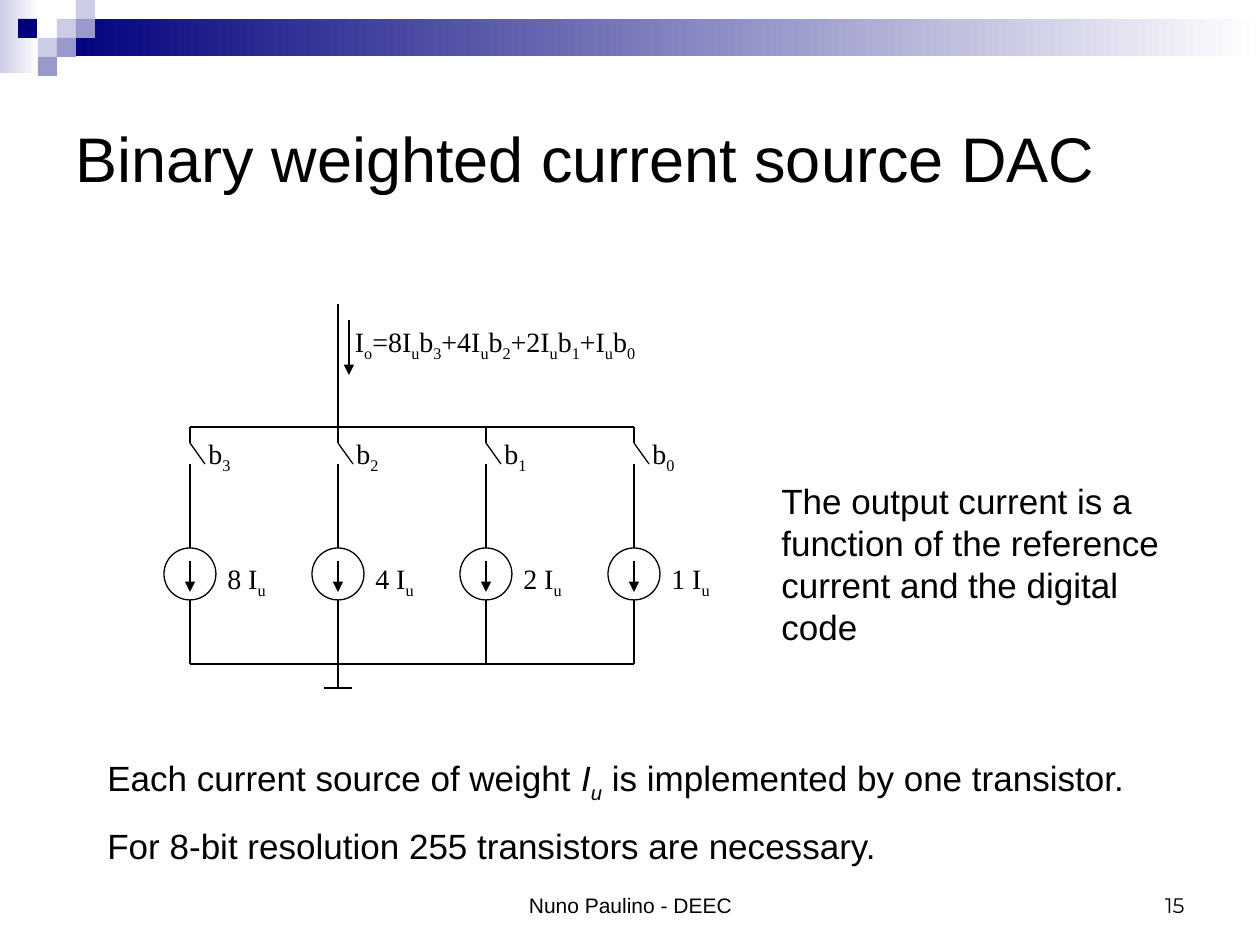
from lxml.etree import SubElement
from pptx import Presentation
from pptx.dml.color import RGBColor
from pptx.enum.shapes import MSO_CONNECTOR, MSO_SHAPE
from pptx.enum.text import MSO_ANCHOR as ANCHOR, PP_ALIGN as ALIGN
from pptx.oxml.ns import qn
from pptx.util import Pt

EMU_PER_PX = 914400 / 126
BLACK, WHITE, NAVY, LILAC, VIOLET = "000000", "FFFFFF", "00007D", "CCCCE6", "9999CC"
SANS, SERIF = "Arial", "Times New Roman"

# An underscore makes the next character a subscript.
TITLE = "Binary weighted current source DAC"
OUTPUT_CURRENT = "I_o=8I_ub_3+4I_ub_2+2I_ub_1+I_ub_0"
BRANCHES = [("b_3", "8 I_u"), ("b_2", "4 I_u"), ("b_1", "2 I_u"), ("b_0", "1 I_u")]
REMARK = "The output current is a function of the reference current and the digital code"
NOTES = [
    [("Each current source of weight ", False), ("I_u", True),
     (" is implemented by one transistor.", False)],
    [("For 8-bit resolution 255 transistors are necessary.", False)],
]
FOOTER, PAGE_NUMBER = "Nuno Paulino - DEEC", "15"

GRADIENT_BARS = [((0, 0, 39, 73), LILAC), ((57, 19, 1203, 37), NAVY)]
SQUARE = 19
SQUARES = [(57, 19, LILAC), (76, 0, LILAC), (76, 19, VIOLET), (38, 38, LILAC),
           (18, 19, NAVY), (57, 38, VIOLET), (38, 57, VIOLET)]

FIRST_X, PITCH, RADIUS = 190, 148, 26
SUPPLY_Y, BUS_Y, PIVOT_Y, CONTACT_Y = 304, 427, 443, 464
SOURCE_Y, RETURN_Y, GROUND_Y = 574, 664, 688


def px(value):
    return round(value * EMU_PER_PX)


def color(hex_string):
    return RGBColor.from_string(hex_string)


def add_block(slide, kind, box, fill, outline=None, fade_to=None):
    shape = slide.shapes.add_shape(kind, *map(px, box))
    shape.shadow.inherit = False
    if fade_to:
        shape.fill.gradient()
        shape.fill.gradient_angle = 0
        for stop, stop_color in zip(shape.fill.gradient_stops, (fill, fade_to)):
            stop.color.rgb = color(stop_color)
    else:
        shape.fill.solid()
        shape.fill.fore_color.rgb = color(fill)
    if outline:
        shape.line.color.rgb = color(outline)
        shape.line.width = Pt(0.75)
    else:
        shape.line.fill.background()


def add_wire(slide, x1, y1, x2, y2, arrow=False):
    wire = slide.shapes.add_connector(MSO_CONNECTOR.STRAIGHT, *map(px, (x1, y1, x2, y2)))
    wire.line.color.rgb = color(BLACK)
    wire.line.width = Pt(0.75)
    if arrow:
        SubElement(wire.line._get_or_add_ln(), qn("a:tailEnd"), type="triangle")
    SubElement(wire._element.spPr, qn("a:effectLst"))


def add_runs(paragraph, marked_text, italic=False):
    """Add text, lowering each character that follows an underscore."""
    first, *others = marked_text.split("_")
    pieces = [(first, False)]
    for other in others:
        pieces += [(other[0], True), (other[1:], False)]
    for text, lowered in pieces:
        if text:
            run = paragraph.add_run()
            run.text = text
            if italic:
                run.font.italic = True
            if lowered:
                run._r.get_or_add_rPr().set("baseline", "-25000")


def style(paragraph, font, size, align):
    paragraph.alignment = align
    paragraph.font.name = font
    paragraph.font.size = Pt(size)
    paragraph.font.color.rgb = color(BLACK)


def add_text(slide, box, paragraphs, font, size, align=ALIGN.LEFT, anchor=ANCHOR.TOP, wrap=True):
    frame = slide.shapes.add_textbox(*map(px, box)).text_frame
    frame.word_wrap = wrap
    frame.vertical_anchor = anchor
    for index, runs in enumerate(paragraphs):
        paragraph = frame.add_paragraph() if index else frame.paragraphs[0]
        style(paragraph, font, size, align)
        if index:
            paragraph.space_before = Pt(12)
        for text, italic in runs:
            add_runs(paragraph, text, italic)


def add_label(slide, box, text):
    add_text(slide, box, [[(text, False)]], SERIF, 16, ALIGN.CENTER, ANCHOR.MIDDLE, wrap=False)


def add_branch(slide, x, bit, weight):
    """Draw a switch above a current source, with their labels."""
    add_wire(slide, x, BUS_Y, x, PIVOT_Y)
    add_wire(slide, x, PIVOT_Y, x + 15, CONTACT_Y)
    add_wire(slide, x, CONTACT_Y, x, SOURCE_Y - RADIUS)
    add_block(slide, MSO_SHAPE.OVAL, (x - RADIUS, SOURCE_Y - RADIUS, 2 * RADIUS, 2 * RADIUS),
              WHITE, outline=BLACK)
    add_wire(slide, x, SOURCE_Y - 13, x, SOURCE_Y + 18, arrow=True)
    add_wire(slide, x, SOURCE_Y + RADIUS, x, RETURN_Y)
    add_label(slide, (x + 5, 432, 49, 47), bit)
    add_label(slide, (x + 24, 557, 65, 47), weight)


def add_circuit(slide):
    columns = [FIRST_X + PITCH * index for index in range(len(BRANCHES))]
    for x, (bit, weight) in zip(columns, BRANCHES):
        add_branch(slide, x, bit, weight)
    for y in (BUS_Y, RETURN_Y):
        add_wire(slide, columns[0], y, columns[-1], y)
    trunk = columns[1]
    add_wire(slide, trunk, SUPPLY_Y, trunk, BUS_Y)
    add_wire(slide, trunk, RETURN_Y, trunk, GROUND_Y)
    add_wire(slide, trunk - 14, GROUND_Y, trunk + 14, GROUND_Y)
    add_wire(slide, trunk + 11, 320, trunk + 11, 375, arrow=True)
    add_label(slide, (335, 320, 320, 47), OUTPUT_CURRENT)


def add_title(slide):
    title = slide.shapes.title
    title.left, title.top, title.width, title.height = map(px, (63, 63, 1134, 189))
    title.text_frame.text = TITLE
    title.text_frame.vertical_anchor = ANCHOR.MIDDLE
    style(title.text_frame.paragraphs[0], SANS, 36, ALIGN.LEFT)


def main():
    presentation = Presentation()
    presentation.slide_width, presentation.slide_height = px(1260), px(945)
    slide = presentation.slides.add_slide(presentation.slide_layouts[5])
    for box, start in GRADIENT_BARS:
        add_block(slide, MSO_SHAPE.RECTANGLE, box, start, fade_to=WHITE)
    for left, top, fill in SQUARES:
        add_block(slide, MSO_SHAPE.RECTANGLE, (left, top, SQUARE, SQUARE), fill)
    add_title(slide)
    add_circuit(slide)
    add_text(slide, (769, 473, 427, 180), [[(REMARK, False)]], SANS, 20)
    add_text(slide, (95, 750, 1111, 118), NOTES, SANS, 20)
    add_text(slide, (431, 861, 399, 63), [[(FOOTER, False)]], SANS, 12,
             ALIGN.CENTER, ANCHOR.BOTTOM)
    add_text(slide, (903, 861, 294, 63), [[(PAGE_NUMBER, False)]], "Montserrat", 12,
             ALIGN.RIGHT, ANCHOR.BOTTOM)
    presentation.save("out.pptx")


if __name__ == "__main__":
    main()
